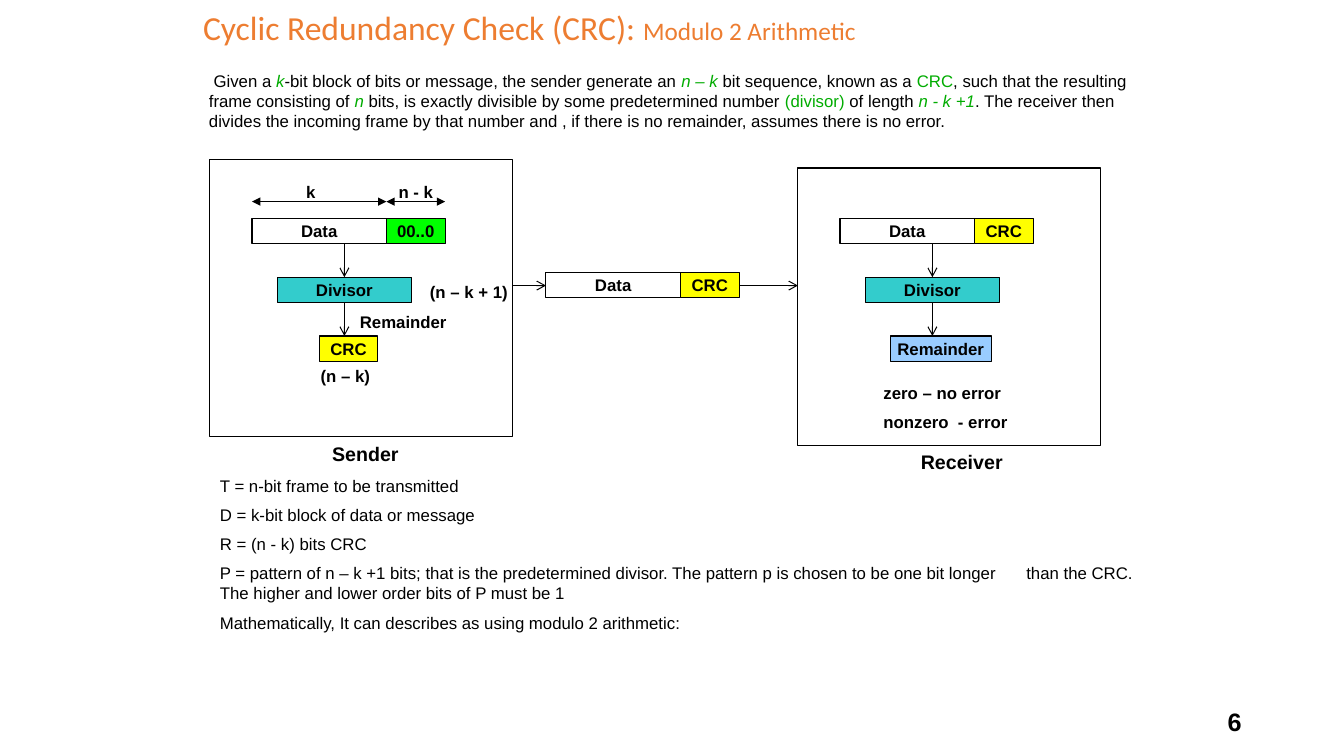
from lxml import etree
from pptx import Presentation
from pptx.dml.color import RGBColor
from pptx.enum import shapes, text
from pptx.oxml import ns
from pptx.util import Pt

BLACK = RGBColor(0, 0, 0)
ORANGE = RGBColor(0xED, 0x7D, 0x31)
TERM_GREEN = RGBColor(0, 0xAC, 0)
ZERO_GREEN = RGBColor(0, 0xFF, 0)
TEAL = RGBColor(0x33, 0xCC, 0xCC)
YELLOW = RGBColor(0xFF, 0xFF, 0)
LIGHT_BLUE = RGBColor(0x99, 0xCC, 0xFF)

TITLE = [("Cyclic Redundancy Check (CRC): ", 24), ("Modulo 2 Arithmetic", 18)]
PLAIN, TERM, VARIABLE = (BLACK, False), (TERM_GREEN, False), (TERM_GREEN, True)
INTRO = [
    (" Given a", PLAIN), (" k", VARIABLE),
    ("-bit block of bits or message, the sender generate an ", PLAIN),
    ("n – k", VARIABLE), (" bit sequence, known as a ", PLAIN), ("CRC", TERM),
    (", such that the resulting frame consisting of ", PLAIN), ("n", VARIABLE),
    (" bits, is exactly divisible by some predetermined number", PLAIN),
    (" (divisor) ", TERM), ("of length ", PLAIN), ("n - k +1", VARIABLE),
    (". The receiver then divides the incoming frame by that number and , "
     "if there is no remainder, assumes there is no error.", PLAIN),
]
DEFINITIONS = [
    "T = n-bit frame to be transmitted",
    "D = k-bit block of data or message",
    "R = (n - k) bits CRC",
    "P = pattern of n – k +1 bits; that is the predetermined divisor. The pattern p is "
    "chosen to be one bit longer \tthan the CRC. The higher and lower order bits of P must be 1",
    "Mathematically, It can describes as using modulo 2 arithmetic:",
]
OUTCOMES = ["zero – no error", "nonzero  - error"]

LEFT, CENTER, RIGHT = text.PP_ALIGN.LEFT, text.PP_ALIGN.CENTER, text.PP_ALIGN.RIGHT
LABELS = [
    (["k"], 210, 126, 24, CENTER, 12),
    (["n - k"], 276, 126, 42, CENTER, 12),
    (["(n – k + 1)"], 300, 198, 72, LEFT, 12),
    (["Remainder"], 250, 219, 108, LEFT, 12),
    (["(n – k)"], 222, 258, 72, LEFT, 12),
    (["Sender"], 186, 312, 150, CENTER, 14),
    (["Receiver"], 612, 318, 150, CENTER, 14),
    (OUTCOMES, 624, 270, 144, LEFT, 12),
]

SENDER_X, RECEIVER_X = 150, 570
SENDER_Y, RECEIVER_Y = 114, 120
FRAME_W, FRAME_H = 216, 198
DATA_W, CHECK_W, BOX_H = 96, 42, 18
ROW_Y, ROW_STEP = 156, 42
SENT_X, SENT_Y, LINK_Y = 390, 194.5, 204

SIDES = [
    (SENDER_X, SENDER_Y, "00..0", ZERO_GREEN, "CRC", YELLOW, CHECK_W, 78),
    (RECEIVER_X, RECEIVER_Y, "CRC", YELLOW, "Remainder", LIGHT_BLUE, 72, 66),
]

presentation = Presentation()
presentation.slide_width, presentation.slide_height = Pt(960), Pt(540)
slide = presentation.slides.add_slide(presentation.slide_layouts[6])


def style_run(run, size, color=BLACK, bold=False, italic=False, font="Arial"):
    run.font.name, run.font.size = font, Pt(size)
    run.font.bold, run.font.italic = bold, italic
    run.font.color.rgb = color


def add_text_box(x, y, width, height, anchor=text.MSO_ANCHOR.TOP):
    frame = slide.shapes.add_textbox(Pt(x), Pt(y), Pt(width), Pt(height)).text_frame
    frame.word_wrap = True
    frame.vertical_anchor = anchor
    return frame


def add_lines(lines, x, y, width, height, align=LEFT, size=12, bold=True,
              anchor=text.MSO_ANCHOR.TOP):
    frame = add_text_box(x, y, width, height, anchor)
    frame.text = "\n".join(lines)
    for index, paragraph in enumerate(frame.paragraphs):
        paragraph.alignment = align
        paragraph.space_before = Pt(6.5 if index else 0)
        style_run(paragraph.runs[0], size, bold=bold)


def add_box(x, y, width, height=BOX_H, label="", fill=None):
    shape = slide.shapes.add_shape(shapes.MSO_SHAPE.RECTANGLE,
                                   Pt(x), Pt(y), Pt(width), Pt(height))
    shape.shadow.inherit = False
    shape.line.color.rgb, shape.line.width = BLACK, Pt(0.75)
    if fill is None:
        shape.fill.background()
    else:
        shape.fill.solid()
        shape.fill.fore_color.rgb = fill
    if label:
        frame = shape.text_frame
        frame.text = label
        frame.word_wrap = False
        frame.vertical_anchor = text.MSO_ANCHOR.MIDDLE
        frame.paragraphs[0].alignment = CENTER
        style_run(frame.paragraphs[0].runs[0], 12, bold=True)


def add_message(x, y, check, fill):
    add_box(x, y, DATA_W, label="Data")
    add_box(x + DATA_W, y, CHECK_W, label=check, fill=fill)


def add_arrow(x1, y1, x2, y2, double=False):
    line = slide.shapes.add_connector(shapes.MSO_CONNECTOR.STRAIGHT,
                                      Pt(x1), Pt(y1), Pt(x2), Pt(y2))
    line.line.color.rgb, line.line.width = BLACK, Pt(0.75)
    outline = line.line._get_or_add_ln()
    kind = "triangle" if double else "arrow"
    for end in ("a:headEnd", "a:tailEnd") if double else ("a:tailEnd",):
        etree.SubElement(outline, ns.qn(end), type=kind)
    etree.SubElement(line._element.spPr, ns.qn("a:effectLst"))


title = add_text_box(138, 0, 612, 42, text.MSO_ANCHOR.MIDDLE).paragraphs[0]
title.line_spacing = 0.9
for words, size in TITLE:
    run = title.add_run()
    run.text = words
    style_run(run, size, ORANGE, font="Calibri")

intro = add_text_box(144, 48, 672, 48)
intro.margin_left = intro.margin_right = Pt(5.25)
intro.margin_top = intro.margin_bottom = Pt(2.5)
for words, (color, italic) in INTRO:
    run = intro.paragraphs[0].add_run()
    run.text = words
    style_run(run, 12, color, italic=italic)

for x, y, check, check_fill, result, result_fill, result_w, result_dx in SIDES:
    add_box(x, y, FRAME_W, FRAME_H)
    add_message(x + 30, ROW_Y, check, check_fill)
    add_box(x + 48, ROW_Y + ROW_STEP, DATA_W, label="Divisor", fill=TEAL)
    add_box(x + result_dx, ROW_Y + 2 * ROW_STEP, result_w, label=result, fill=result_fill)
    for row in range(2):
        top = ROW_Y + row * ROW_STEP
        add_arrow(x + 96, top + BOX_H, x + 96, top + ROW_STEP)

split_x = SENDER_X + 30 + DATA_W
add_arrow(split_x - DATA_W, 144, split_x, 144, double=True)
add_arrow(split_x, 144, split_x + CHECK_W, 144, double=True)

add_message(SENT_X, SENT_Y, "CRC", YELLOW)
add_arrow(SENDER_X + FRAME_W, LINK_Y, SENT_X, LINK_Y)
add_arrow(SENT_X + DATA_W + CHECK_W, LINK_Y, RECEIVER_X, LINK_Y)

for lines, x, y, width, align, size in LABELS:
    add_lines(lines, x, y, width, 21.5 * len(lines), align, size)
add_lines(DEFINITIONS, 150, 336, 672, 122, bold=False)
add_lines(["6"], 678, 500.5, 216, 29, RIGHT, 18, anchor=text.MSO_ANCHOR.MIDDLE)

presentation.save("out.pptx")
